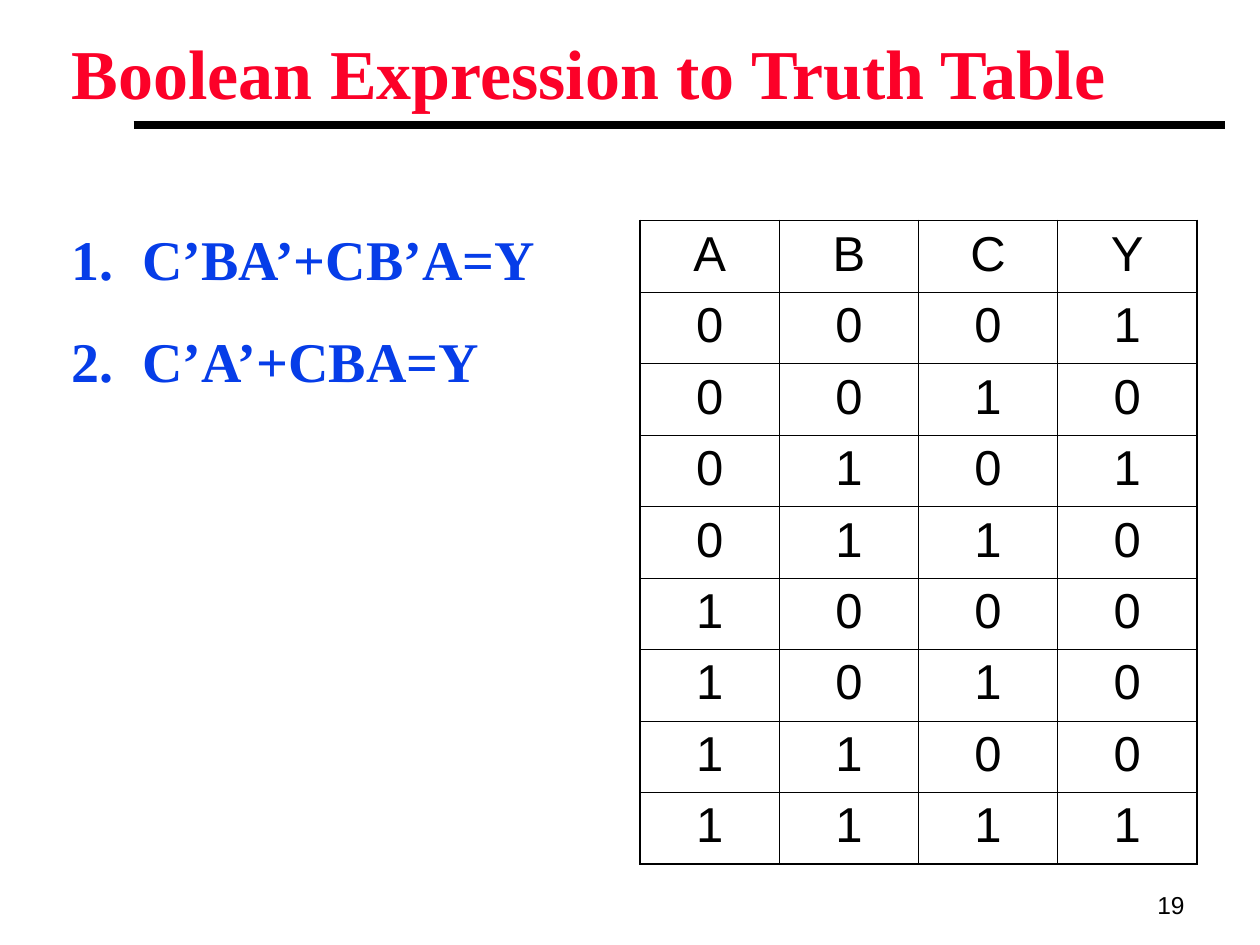
import itertools

import pptx
import pptx.dml.color
import pptx.enum.shapes
import pptx.enum.text
import pptx.oxml.ns
import pptx.util
from lxml import etree

RGB = pptx.dml.color.RGBColor
ALIGN = pptx.enum.text.PP_ALIGN
ANCHOR = pptx.enum.text.MSO_ANCHOR
Inches = pptx.util.Inches
Pt = pptx.util.Pt
qn = pptx.oxml.ns.qn

RED = RGB(0xFC, 0x01, 0x28)
BLUE = RGB(0x06, 0x3D, 0xE8)
BLACK = RGB(0, 0, 0)

WIDE, HIGH = 10, 7.5
LEFT, RIGHT, TOP = 0.5, 9.5, 1.75
SERIF, SANS = "Times New Roman", "Arial"

HEADS = "ABCY"
OUTPUT = "10100001"
THICK, THIN = 1.08, 0.45


def write(frame, *lines, font=SERIF, size=32, color=BLACK, bold=False,
          align=ALIGN.LEFT, gap=0, lead=None, hang=0):
    """Fill a text frame, one paragraph a line; hang is the indent in inches."""
    frame.word_wrap = True
    for i, line in enumerate(lines):
        para = frame.paragraphs[0] if i == 0 else frame.add_paragraph()
        para.text = line
        para.alignment = align
        if i and gap:
            para.space_before = Pt(gap)
        if lead:
            para.line_spacing = lead
        if hang:
            props = para._p.get_or_add_pPr()
            props.set("marL", str(Inches(hang)))
            props.set("indent", str(-Inches(hang)))
        for run in para.runs:
            run.font.name = font
            run.font.size = Pt(size)
            run.font.bold = bold
            run.font.color.rgb = color


def add_box(slide, x, y, w, h, *lines, pad=(0.07, 0.03), anchor=ANCHOR.TOP, **form):
    box = slide.shapes.add_textbox(Inches(x), Inches(y), Inches(w), Inches(h))
    frame = box.text_frame
    frame.margin_left = frame.margin_right = Inches(pad[0])
    frame.margin_top = frame.margin_bottom = Inches(pad[1])
    frame.vertical_anchor = anchor
    write(frame, *lines, **form)


def add_rule(slide, start, end, y):
    rule = slide.shapes.add_connector(
        pptx.enum.shapes.MSO_CONNECTOR.STRAIGHT,
        Inches(start), Inches(y), Inches(end), Inches(y))
    rule.line.color.rgb = BLACK
    rule.line.width = Pt(4.5)
    etree.SubElement(rule._element.spPr, qn("a:effectLst"))


def set_edge(cell, side, width):
    line = etree.Element(qn("a:ln" + side), w=str(Pt(width)))
    fill = etree.SubElement(line, qn("a:solidFill"))
    etree.SubElement(fill, qn("a:srgbClr"), val=str(BLACK))
    cell._tc.get_or_add_tcPr().append(line)


def add_table(slide, rows, x, y, w, h):
    """Draw a plain grid with a heavier outer frame."""
    last, end = len(rows) - 1, len(rows[0]) - 1
    table = slide.shapes.add_table(
        last + 1, end + 1, Inches(x), Inches(y), Inches(w), Inches(h)).table
    table.first_row = table.horz_banding = False
    for r, row in enumerate(rows):
        for c, text in enumerate(row):
            cell = table.cell(r, c)
            cell.margin_left = cell.margin_right = Inches(0.05)
            cell.margin_top = cell.margin_bottom = Inches(0.05)
            write(cell.text_frame, text, font=SANS, size=28, align=ALIGN.CENTER)
            outer = {"L": c == 0, "R": c == end, "T": r == 0, "B": r == last}
            for side, edge in outer.items():
                set_edge(cell, side, THICK if edge else THIN)
            cell.fill.background()


def main():
    deck = pptx.Presentation()
    deck.slide_width, deck.slide_height = Inches(WIDE), Inches(HIGH)
    slide = deck.slides.add_slide(deck.slide_layouts[6])
    half = (RIGHT - LEFT) * 0.49

    add_rule(slide, 1.06, 9.72, 0.99)
    add_box(slide, RIGHT - 2.33, 6.83, 2.33, 0.52, "19", pad=(0.1, 0.05),
            anchor=ANCHOR.BOTTOM, font=SANS, size=14, align=ALIGN.RIGHT)
    add_box(slide, LEFT, 0.3, RIGHT - LEFT, 1.24, "Boolean Expression to Truth Table",
            size=40, color=RED, bold=True, lead=0.87)
    add_box(slide, LEFT, TOP, half, 4.95, "1.\tC’BA’+CB’A=Y", "2.\tC’A’+CBA=Y",
            color=BLUE, bold=True, gap=20, hang=0.56)

    bits = itertools.product("01", repeat=3)
    rows = [HEADS] + ["".join(bit) + out for bit, out in zip(bits, OUTPUT)]
    add_table(slide, rows, RIGHT - 4.42, TOP, 4.42, 5.09)
    deck.save("out.pptx")


if __name__ == "__main__":
    main()
